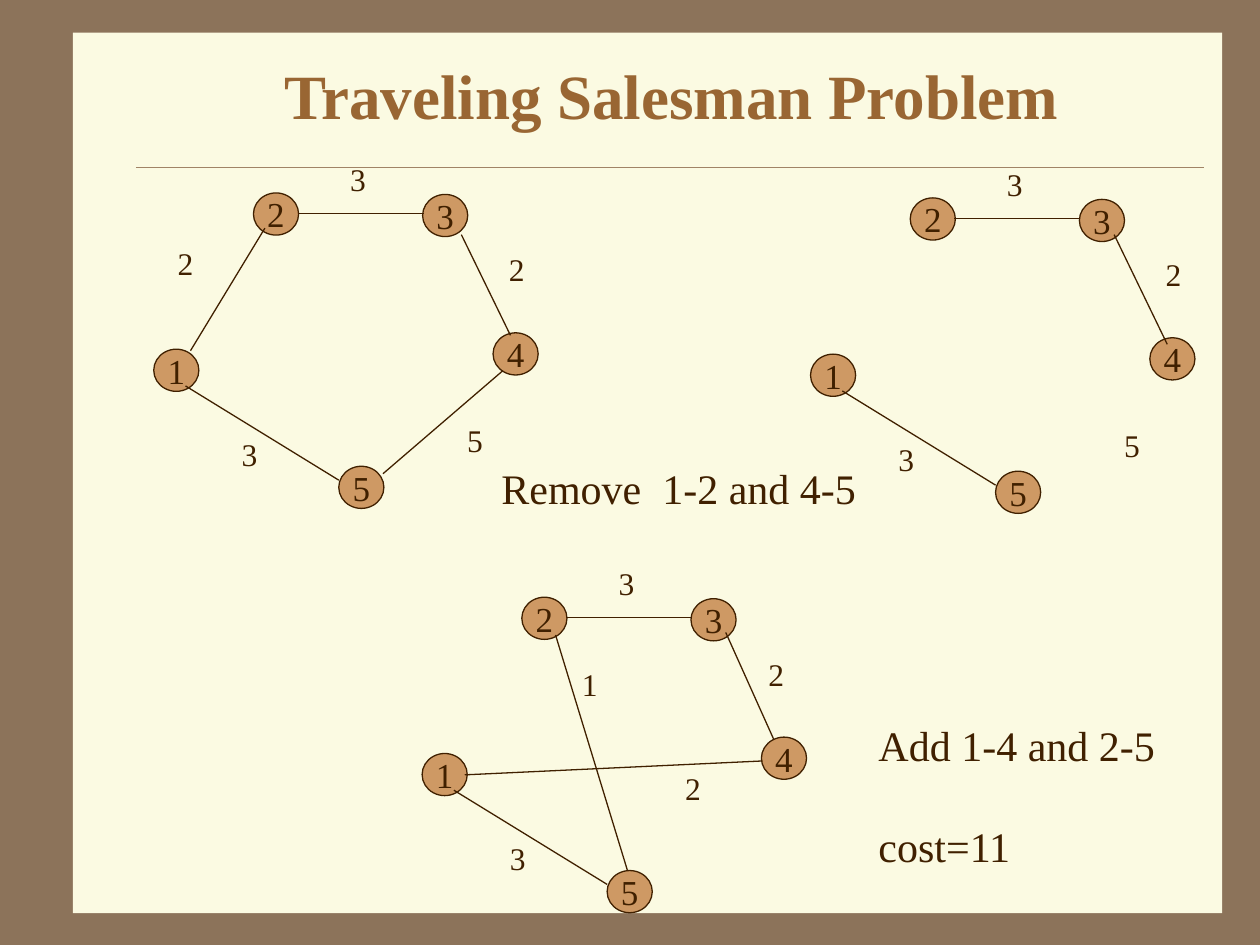
from dataclasses import dataclass
from typing import NamedTuple

from lxml import etree
from pptx import Presentation
from pptx import util as u
from pptx.dml import color
from pptx.enum import shapes, text
from pptx.oxml import ns


@dataclass(frozen=True)
class Theme:
    frame: str = "8C735A"
    page: str = "FBFAE2"
    rule: str = "A08366"
    title: str = "996633"
    ink: str = "402000"
    node: str = "CE9964"
    font: str = "Times New Roman"
    title_size: int = 36
    note_size: int = 24
    node_size: int = 20
    weight_size: int = 18
    edge_width: float = 0.75
    rule_width: float = 0.25


class Point(NamedTuple):
    x: float
    y: float


class Node(NamedTuple):
    name: str
    at: Point


class Edge(NamedTuple):
    start: Point
    end: Point


class Weight(NamedTuple):
    value: str
    at: Point


class Graph(NamedTuple):
    origin: Point
    edges: list[Edge]
    weights: list[Weight]


T = Theme()
NODE_W, NODE_H = 0.91, 0.85
WEIGHT_W, WEIGHT_H = 0.82, 1.02

NODES = [
    Node("2", Point(2.01, 0)),
    Node("3", Point(5.42, 0.03)),
    Node("1", Point(0, 3.15)),
    Node("4", Point(6.84, 2.82)),
    Node("5", Point(3.73, 5.51)),
]
KEPT_EDGES = [
    Edge(Point(2.9, 0.41), Point(5.44, 0.41)),
    Edge(Point(0.64, 3.89), Point(3.73, 5.79)),
]
KEPT_WEIGHTS = [Weight("3", Point(3.71, -0.79)), Weight("3", Point(1.52, 4.75))]
OUTER_WEIGHTS = [Weight("5", Point(6.07, 4.47)), Weight("2", Point(6.91, 1.02))]

GRAPHS = [
    Graph(
        Point(3.1, 3.89),
        KEPT_EDGES + [
            Edge(Point(0.74, 3.18), Point(2.24, 0.71)),
            Edge(Point(6.2, 0.84), Point(7.19, 2.87)),
            Edge(Point(7.04, 3.58), Point(4.62, 5.66)),
        ],
        KEPT_WEIGHTS + OUTER_WEIGHTS + [Weight("2", Point(0.23, 0.91))],
    ),
    Graph(
        Point(16.34, 3.99),
        KEPT_EDGES + [Edge(Point(6.12, 0.74), Point(7.19, 2.95))],
        KEPT_WEIGHTS + OUTER_WEIGHTS,
    ),
    Graph(
        Point(8.51, 12.04),
        KEPT_EDGES + [
            Edge(Point(2.69, 0.76), Point(4.14, 5.51)),
            Edge(Point(0.86, 3.58), Point(6.86, 3.3)),
            Edge(Point(6.12, 0.71), Point(7.09, 2.87)),
        ],
        KEPT_WEIGHTS + [
            Weight("2", Point(6.73, 1.04)),
            Weight("1", Point(2.97, 1.24)),
            Weight("2", Point(5.05, 3.33)),
        ],
    ),
]


def rgb(value: str) -> color.RGBColor:
    return color.RGBColor.from_string(value)


def shift(origin: Point, at: Point) -> Point:
    return Point(origin.x + at.x, origin.y + at.y)


def write(sp, content: str, size: int, ink: str = T.ink, bold: bool = False,
          centred: bool = False, wrap: bool = False) -> None:
    tf = sp.text_frame
    tf.text = content
    tf.word_wrap = wrap
    tf.vertical_anchor = text.MSO_ANCHOR.MIDDLE if centred else text.MSO_ANCHOR.TOP
    for p in tf.paragraphs:
        p.alignment = text.PP_ALIGN.CENTER if centred else text.PP_ALIGN.LEFT
        for r in p.runs:
            r.font.name = T.font
            r.font.size = u.Pt(size)
            r.font.bold = bold
            r.font.color.rgb = rgb(ink)


def add_text(parent, at: Point, w: float, h: float, content: str, size: int, **style):
    sp = parent.add_textbox(u.Cm(at.x), u.Cm(at.y), u.Cm(w), u.Cm(h))
    write(sp, content, size, **style)
    return sp


def add_shape(parent, kind, at: Point, w: float, h: float, fill: str):
    sp = parent.add_shape(kind, u.Cm(at.x), u.Cm(at.y), u.Cm(w), u.Cm(h))
    sp.shadow.inherit = False
    sp.fill.solid()
    sp.fill.fore_color.rgb = rgb(fill)
    sp.line.fill.background()
    return sp


def add_line(parent, start: Point, end: Point, ink: str, width: float) -> None:
    ln = parent.add_connector(shapes.MSO_CONNECTOR.STRAIGHT, u.Cm(start.x), u.Cm(start.y),
                              u.Cm(end.x), u.Cm(end.y))
    ln.line.color.rgb = rgb(ink)
    ln.line.width = u.Pt(width)
    etree.SubElement(ln._element.spPr, ns.qn("a:effectLst"))


def add_node(parent, origin: Point, node: Node) -> None:
    sp = add_shape(parent, shapes.MSO_SHAPE.OVAL, shift(origin, node.at), NODE_W, NODE_H, T.node)
    sp.line.color.rgb = rgb(T.ink)
    sp.line.width = u.Pt(T.edge_width)
    write(sp, node.name, T.node_size, centred=True)


def add_graph(s, graph: Graph) -> None:
    parent = s.shapes.add_group_shape().shapes
    for node in NODES:
        add_node(parent, graph.origin, node)
    for edge in graph.edges:
        add_line(parent, shift(graph.origin, edge.start), shift(graph.origin, edge.end),
                 T.ink, T.edge_width)
    for weight in graph.weights:
        add_text(parent, shift(graph.origin, weight.at), WEIGHT_W, WEIGHT_H,
                 weight.value, T.weight_size)


def main() -> None:
    prs = Presentation()
    prs.slide_width, prs.slide_height = u.Cm(25.4), u.Cm(19.05)
    s = prs.slides.add_slide(prs.slide_layouts[6])
    s.background.fill.solid()
    s.background.fill.fore_color.rgb = rgb(T.frame)

    add_shape(s.shapes, shapes.MSO_SHAPE.RECTANGLE, Point(1.47, 0.66), 23.17, 17.75, T.page)
    add_line(s.shapes, Point(2.74, 3.38), Point(24.28, 3.38), T.rule, T.rule_width)
    add_text(s.shapes, Point(2.74, 0.84), 21.59, 2.11, "Traveling Salesman Problem",
             T.title_size, ink=T.title, bold=True, centred=True, wrap=True)

    for graph in GRAPHS:
        add_graph(s, graph)

    add_text(s.shapes, Point(9.86, 9.19), 7.65, 1.27, "Remove  1-2 and 4-5", T.note_size)
    sp = add_text(s.shapes, Point(17.46, 14.38), 6.5, 3.3, "Add 1-4 and 2-5\ncost=11",
                  T.note_size, wrap=True)
    sp.text_frame.paragraphs[1].space_before = u.Pt(T.note_size * 1.2)

    prs.save("out.pptx")


if __name__ == "__main__":
    main()
